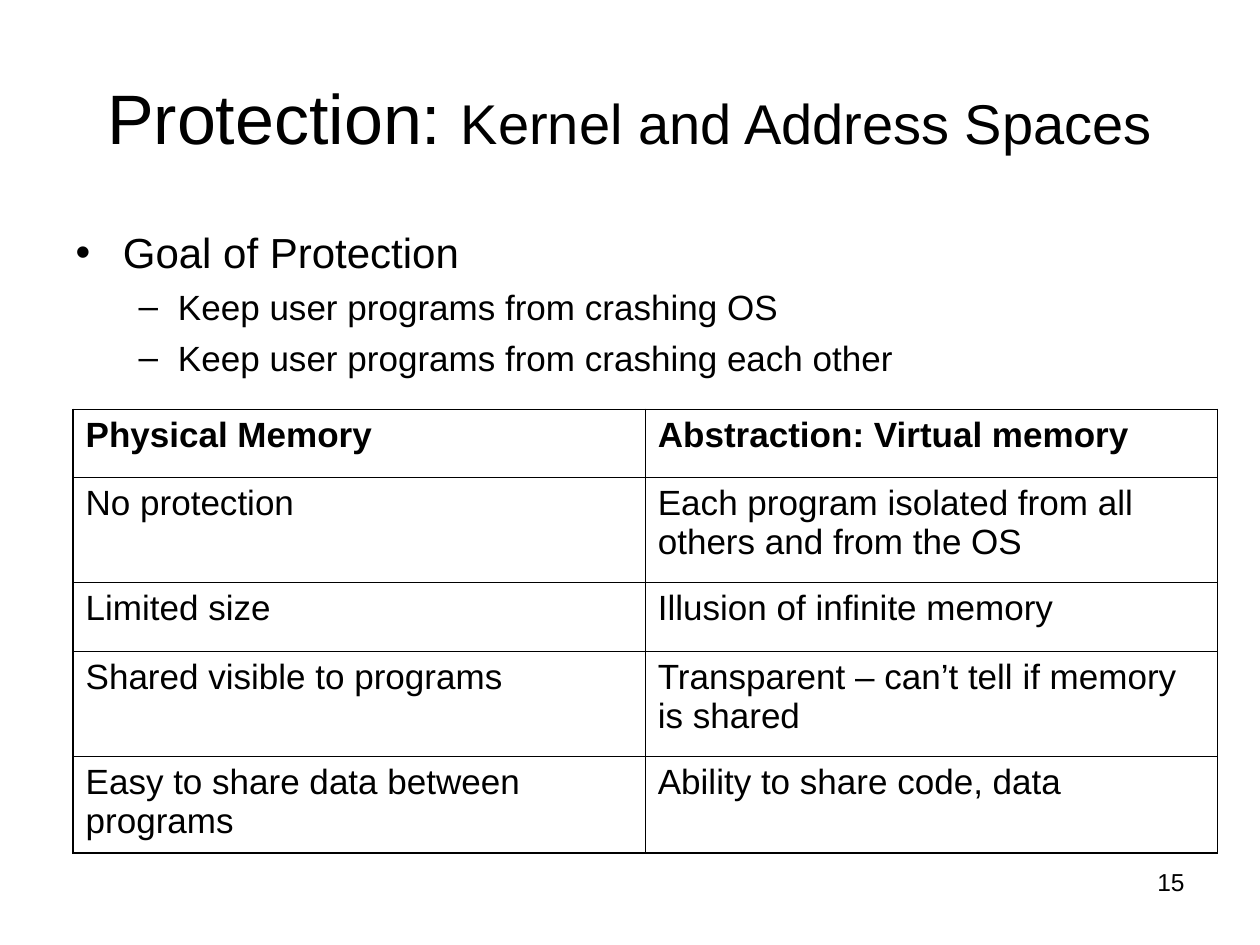
"""Build the slide on memory protection, kernel and address spaces."""
from dataclasses import dataclass

from lxml.etree import SubElement
from pptx import Presentation
from pptx.dml.color import RGBColor
from pptx.enum.text import MSO_ANCHOR as Anchor, MSO_AUTO_SIZE as AutoSize, PP_ALIGN as Align
from pptx.oxml.ns import qn
from pptx.util import Pt


@dataclass(frozen=True)
class Theme:
    """Colours, font, type sizes and line widths of the slide."""
    ink: str = "000000"
    font: str = "Arial"
    title: float = 40
    subtitle: float = 32
    bullet: float = 24
    text: float = 20
    number: float = 14
    outer: float = 1.08
    inner: float = 0.45


@dataclass(frozen=True)
class Level:
    """Layout of one bullet level, in points."""
    mark: str
    size: float
    left: float
    hanging: float
    before: float


@dataclass(frozen=True)
class Bullet:
    """One line of the list."""
    text: str
    level: int = 0


THEME = Theme()
LEVELS = (
    Level("•", THEME.bullet, 27, 27, 6),
    Level("–", THEME.text, 58.5, 22.5, 5),
)
BULLETS = (
    Bullet("Goal of Protection"),
    Bullet("Keep user programs from crashing OS", 1),
    Bullet("Keep user programs from crashing each other", 1),
)
ROWS = (
    ("Physical Memory", "Abstraction: Virtual memory"),
    ("No protection", "Each program isolated from all others and from the OS"),
    ("Limited size", "Illusion of infinite memory"),
    ("Shared visible to programs", "Transparent – can’t tell if memory is shared"),
    ("Easy to share data between programs", "Ability to share code, data"),
)
ROW_HEIGHTS = (39, 60, 39.5, 60, 55)
COL_WIDTH = 327


def place(sp, left: float, top: float, width: float, height: float) -> None:
    """Move and size a shape."""
    sp.left, sp.top, sp.width, sp.height = map(Pt, (left, top, width, height))


def style(r, size: float, bold: bool = False) -> None:
    """Format a run in the theme's font and ink."""
    r.font.name, r.font.size, r.font.bold = THEME.font, Pt(size), bold
    r.font.color.rgb = RGBColor.from_string(THEME.ink)


def draw_title(sp) -> None:
    """Fill the title with a large and a smaller run."""
    place(sp, 36, 21.6, 648, 90)
    tf = sp.text_frame
    tf.auto_size, tf.vertical_anchor = AutoSize.NONE, Anchor.MIDDLE
    p = tf.paragraphs[0]
    p.alignment = Align.CENTER
    for text, size in (("Protection: ", THEME.title),
                       ("Kernel and Address Spaces", THEME.subtitle)):
        r = p.add_run()
        r.text = text
        style(r, size)


def draw_bullets(sp, bullets: tuple[Bullet, ...]) -> None:
    """Fill the body with the bullet list."""
    place(sp, 36, 126, 648, 108)
    tf = sp.text_frame
    tf.auto_size = AutoSize.NONE
    tf.text = "\n".join(b.text for b in bullets)
    for p, b in zip(tf.paragraphs, bullets):
        level = LEVELS[b.level]
        p.level, p.space_before = b.level, Pt(level.before)
        style(p.runs[0], level.size)
        pPr = p._p.get_or_add_pPr()
        pPr.set("marL", str(Pt(level.left)))
        pPr.set("indent", str(-Pt(level.hanging)))
        SubElement(pPr, qn("a:buChar"), char=level.mark)


def draw_borders(cell, widths: dict[str, float]) -> None:
    """Draw the sides of a cell, each in its own width."""
    tcPr = cell._tc.get_or_add_tcPr()
    for side, width in widths.items():
        ln = SubElement(tcPr, qn(f"a:ln{side}"), w=str(Pt(width)))
        fill = SubElement(ln, qn("a:solidFill"))
        SubElement(fill, qn("a:srgbClr"), val=THEME.ink)


def draw_table(s, rows: tuple[tuple[str, ...], ...]) -> None:
    """Draw the comparison table with a heavier outer frame."""
    n, m = len(rows), len(rows[0])
    table = s.shapes.add_table(n, m, Pt(41.75), Pt(234), Pt(m * COL_WIDTH),
                               Pt(sum(ROW_HEIGHTS))).table
    table.first_row = table.horz_banding = False
    for col in table.columns:
        col.width = Pt(COL_WIDTH)
    for i, row in enumerate(rows):
        table.rows[i].height = Pt(ROW_HEIGHTS[i])
        for j, text in enumerate(row):
            cell = table.cell(i, j)
            cell.text = text
            p = cell.text_frame.paragraphs[0]
            p.space_before = Pt(5)
            style(p.runs[0], THEME.text, bold=i == 0)
            at_edge = {"L": j == 0, "R": j == m - 1, "T": i == 0, "B": i == n - 1}
            draw_borders(cell, {side: THEME.outer if edge else THEME.inner
                                for side, edge in at_edge.items()})
            cell.fill.background()


def draw_number(s, text: str) -> None:
    """Write the slide number at the bottom right."""
    sp = s.shapes.add_textbox(Pt(516), Pt(491.75), Pt(168), Pt(37.5))
    tf = sp.text_frame
    tf.word_wrap = True
    tf.text = text
    p = tf.paragraphs[0]
    p.alignment = Align.RIGHT
    style(p.runs[0], THEME.number)


def main() -> None:
    """Build and save the slide."""
    prs = Presentation()
    prs.slide_width, prs.slide_height = Pt(720), Pt(540)
    s = prs.slides.add_slide(prs.slide_layouts[1])
    draw_title(s.shapes.title)
    draw_bullets(s.placeholders[1], BULLETS)
    draw_table(s, ROWS)
    draw_number(s, "15")
    prs.save("out.pptx")


if __name__ == "__main__":
    main()
